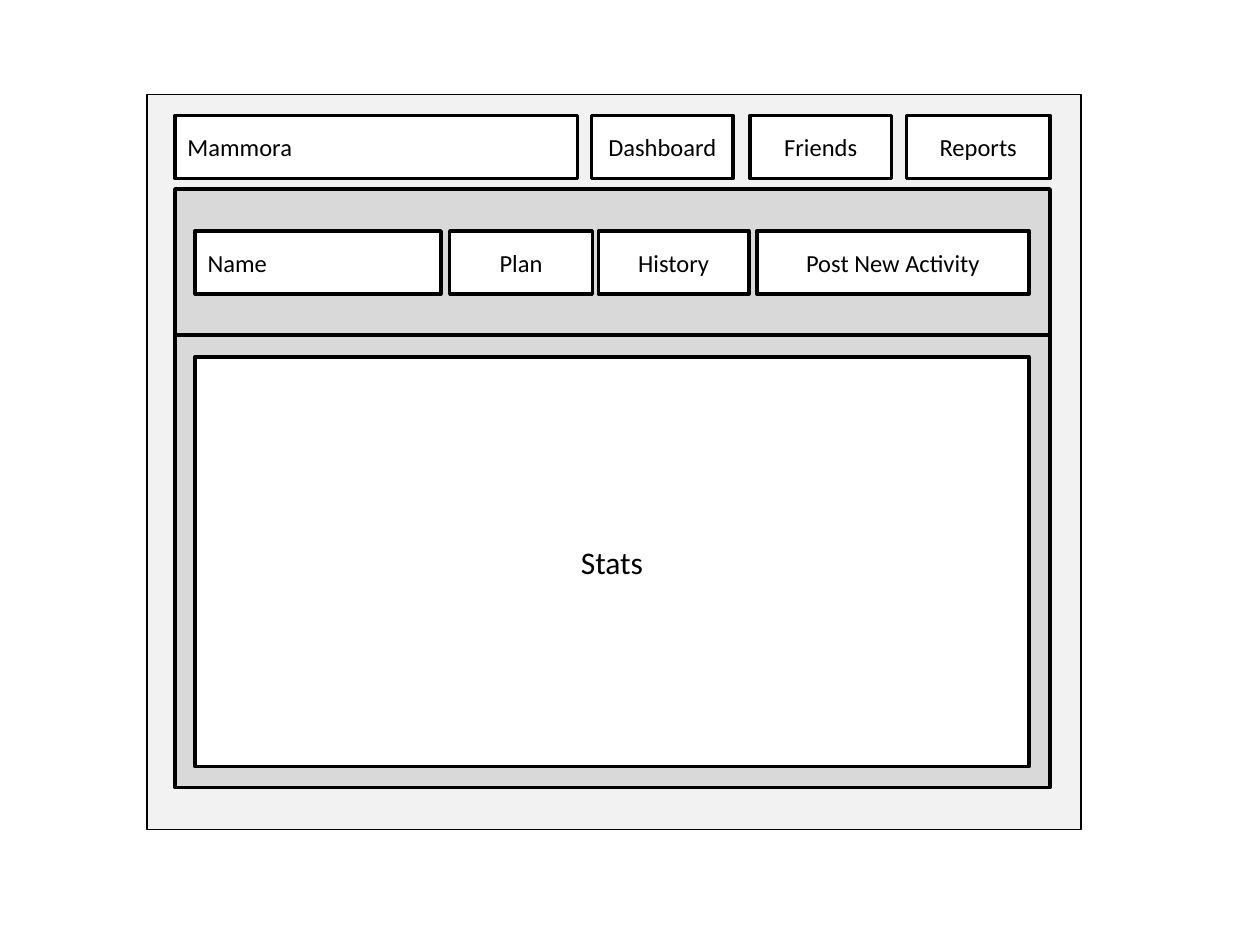
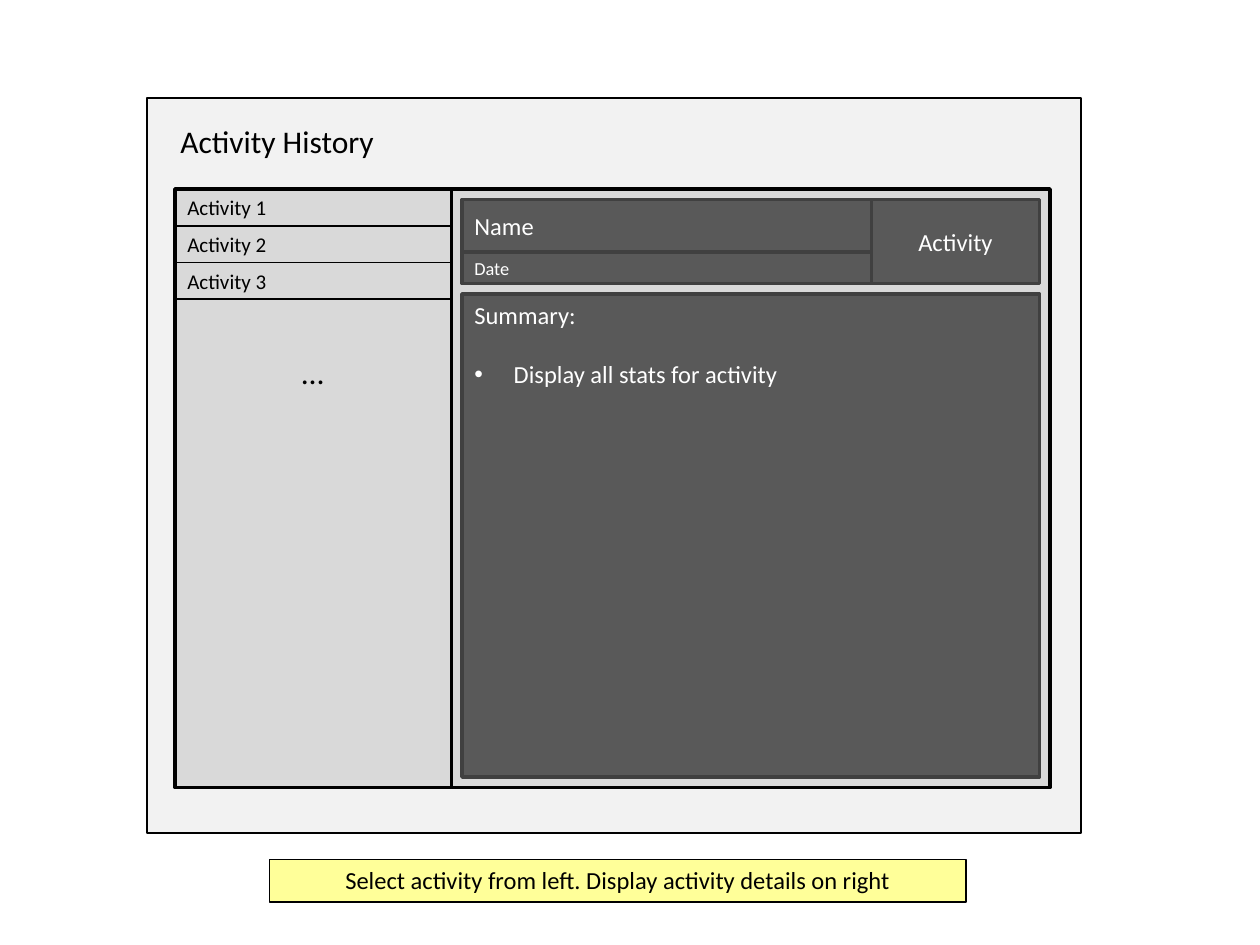
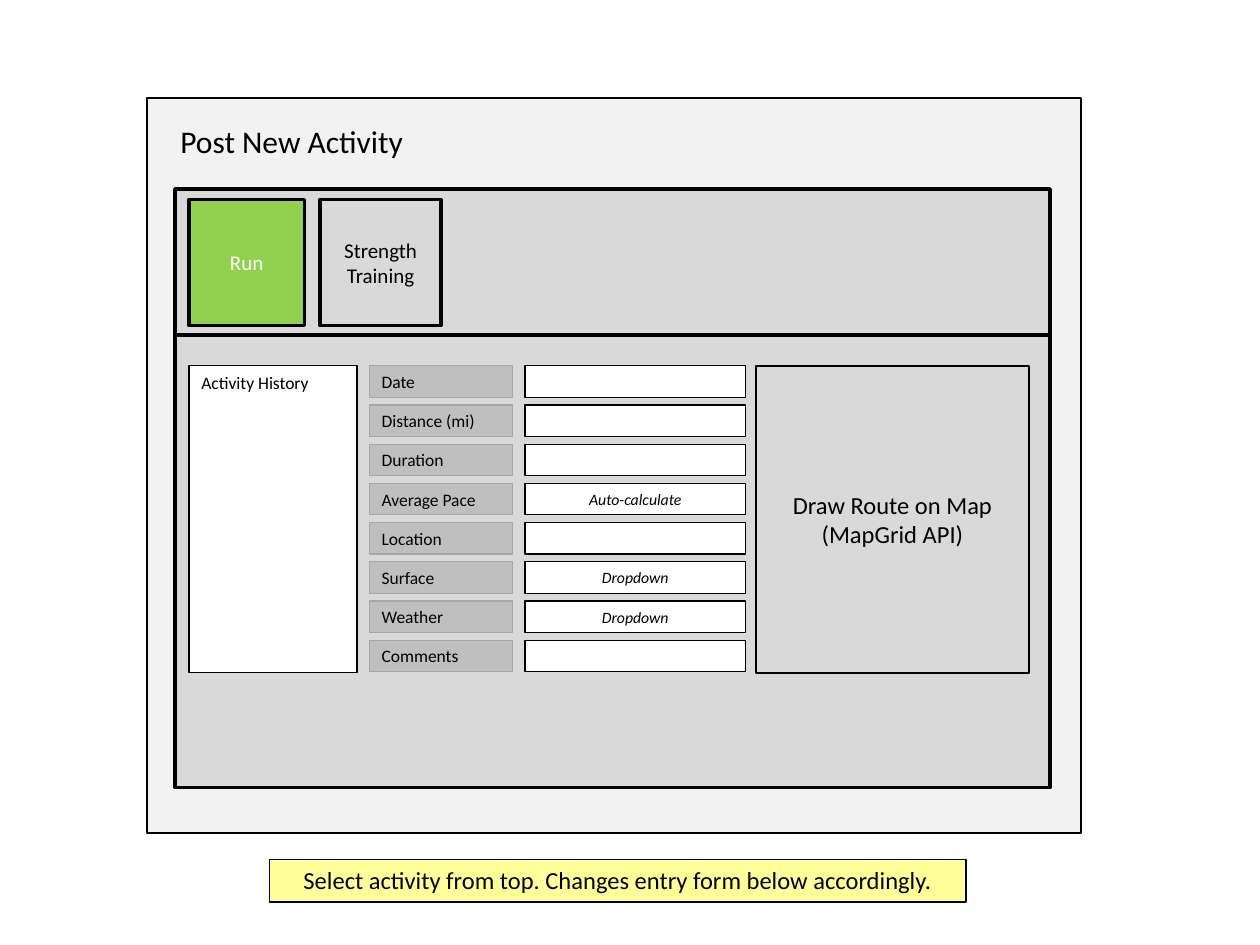
from pptx import Presentation
from pptx.dml.color import RGBColor as Rgb
from pptx.enum.shapes import MSO_SHAPE as Kind
from pptx.enum.text import MSO_ANCHOR as Anchor, PP_ALIGN as Align
from pptx.oxml.ns import qn
from pptx.util import Pt
from lxml.etree import SubElement as Sub

FONT = "Calibri"
HUES = {
    "black": "000000", "white": "FFFFFF", "page": "F2F2F2", "panel": "D9D9D9",
    "dark": "595959", "edge": "404040", "label": "BFBFBF", "rim": "A6A6A6",
    "green": "92D050", "note": "FFFF99",
}


def write(shape, text, size=14, hue="black", align=Align.CENTER,
          anchor=Anchor.MIDDLE, italic=False, wrap=True):
    """Put text in a shape, one paragraph per line."""
    frame = shape.text_frame
    frame.word_wrap = wrap
    frame.vertical_anchor = anchor
    for i, line in enumerate(text.split("\n")):
        par = frame.add_paragraph() if i else frame.paragraphs[0]
        par.alignment = align
        run = par.add_run()
        run.text = line
        font = run.font
        font.name, font.size, font.italic = FONT, Pt(size), italic
        font.color.rgb = Rgb.from_string(HUES[hue])


def box(slide, x, y, w, h, text="", fill="white", line="black", weight=2, **form):
    """Draw a rectangle, with text if there is any; give it back."""
    rect = slide.shapes.add_shape(Kind.RECTANGLE, Pt(x), Pt(y), Pt(w), Pt(h))
    rect.shadow.inherit = False
    if fill:
        rect.fill.solid()
        rect.fill.fore_color.rgb = Rgb.from_string(HUES[fill])
    else:
        rect.fill.background()
    rect.line.color.rgb = Rgb.from_string(HUES[line])
    rect.line.width = Pt(weight)
    if text:
        write(rect, text, **form)
    return rect


deck = Presentation()
deck.slide_width, deck.slide_height = Pt(720), Pt(540)
blank = deck.slide_layouts[6]

# Shared parts: page frame, two panels, title and note
LEFT, TOP, WIDE, HIGH = 100, 108, 500, 342
HEAD, SIDE = 83.5, 158
rows = [(LEFT, TOP + HEAD, WIDE, HIGH - HEAD), (LEFT, TOP, WIDE, HEAD)]
cols = [(LEFT + SIDE, TOP, WIDE - SIDE, HIGH), (LEFT, TOP, SIDE, HIGH)]
plan = [
    (54, rows, "", ""),
    (56, cols, "Activity History",
     "Select activity from left. Display activity details on right"),
    (56, rows, "Post New Activity",
     "Select activity from top. Changes entry form below accordingly."),
]
pages = []
for top, panels, title, note in plan:
    page = deck.slides.add_slide(blank)
    pages.append(page)
    box(page, 84, top, 534, 420, fill="page", weight=1)
    for area in panels:
        box(page, *area, fill="panel")
    if title:
        head = page.shapes.add_textbox(Pt(96), Pt(66), Pt(174), Pt(29))
        write(head, title, size=18, align=Align.LEFT)
        box(page, 154, 491, 398, 24.5, note, fill="note", weight=0.75,
            anchor=Anchor.TOP)
home, past, post = pages

# Slide 1: dashboard
bars = {
    66: [("Mammora", 100, 230), ("Dashboard", 338, 81),
         ("Friends", 428.5, 81), ("Reports", 518, 82)],
    132: [("Name", 111.5, 140.5), ("Plan", 257, 81.5),
          ("History", 342, 86), ("Post New Activity", 432.5, 155.5)],
}
for y, tabs in bars.items():
    for i, (text, x, w) in enumerate(tabs):
        box(home, x, y, w, 36, text, align=Align.CENTER if i else Align.LEFT)
box(home, 111.5, 204, 476.5, 234, "Stats", size=18)

# Slide 2: activity history
for i in range(3):
    box(past, LEFT, TOP + 21 * i, SIDE, 21, f"Activity {i + 1}", fill=None,
        weight=1, size=12, align=Align.LEFT)
more = past.shapes.add_textbox(Pt(165.5), Pt(198), Pt(27.5), Pt(29))
write(more, "…", size=18, align=Align.LEFT, anchor=Anchor.TOP, wrap=False)

dark = dict(fill="dark", line="edge", hue="white")
box(past, 264, 144, 234, 18, "Date", size=10.5, align=Align.LEFT, **dark)
box(past, 498, 114, 96, 48, "Activity", **dark)
box(past, 264, 114, 234, 30, "Name", align=Align.LEFT, **dark)
body = box(past, 264, 168, 330, 276, "Summary:\nDisplay all stats for activity",
           align=Align.LEFT, anchor=Anchor.TOP, **dark)
item = body.text_frame.paragraphs[1]
item.space_before = Pt(17)
props = item._p.get_or_add_pPr()
props.set("marL", str(Pt(22.5)))
props.set("indent", str(-Pt(22.5)))
Sub(props, qn("a:buFont")).set("typeface", "Arial")
Sub(props, qn("a:buChar")).set("char", "•")

# Slide 3: entry form
box(post, 108, 114, 66, 72, "Run", fill="green", size=12, hue="white")
box(post, 183, 114, 69, 72, "Strength Training", fill=None, size=12)

FORM, STEP, TALL = 209, 22.4, 175.5
fields = [
    ("Date", ""), ("Distance (mi)", ""), ("Duration", ""),
    ("Average Pace", "Auto-calculate"), ("Location", ""),
    ("Surface", "Dropdown"), ("Weather", "Dropdown"), ("Comments", ""),
]
for i, (name, hint) in enumerate(fields):
    y = FORM + STEP * i
    box(post, 211, y, 82, 18, name, fill="label", line="rim", weight=0.75,
        size=10, align=Align.LEFT)
    box(post, 300, y, 126, 18, hint, weight=0.75, size=9, italic=True)
box(post, 108, FORM, 96, TALL, "Activity History", weight=0.75, size=10,
    align=Align.LEFT, anchor=Anchor.TOP)
box(post, 432, FORM, 156, TALL, "Draw Route on Map\n(MapGrid API)",
    fill="panel", weight=1)

deck.save("out.pptx")
